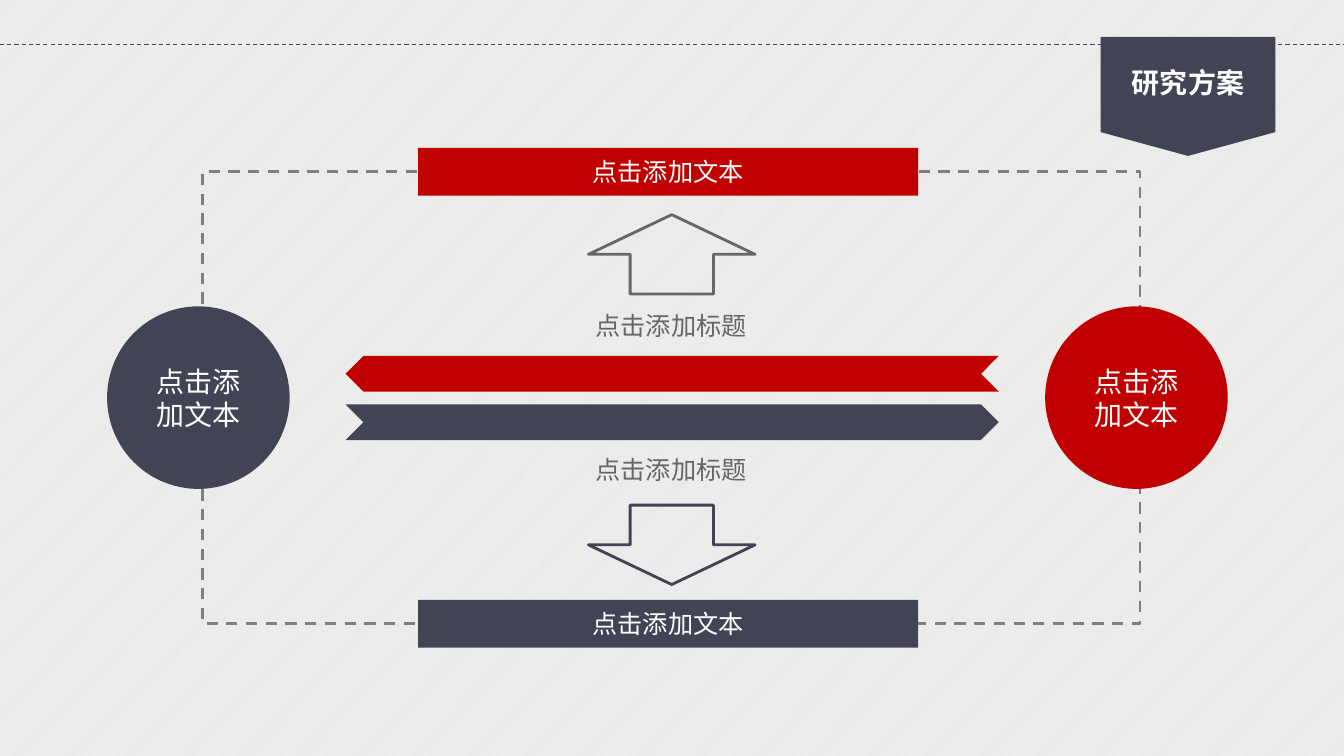
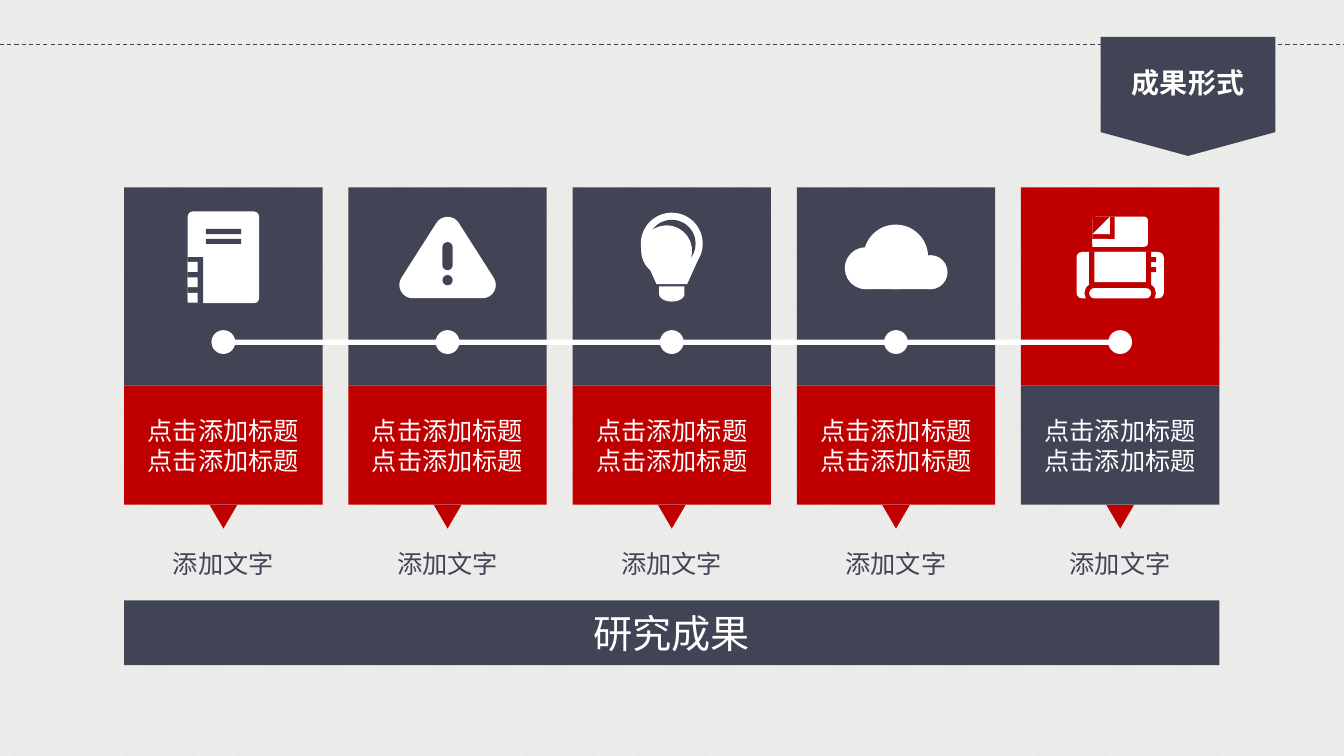
"""Build two slides: a research plan diagram and a row of result cards."""
from lxml import etree
from pptx import Presentation
from pptx.dml.color import RGBColor
from pptx.enum.dml import MSO_LINE, MSO_PATTERN
from pptx.enum.shapes import MSO_CONNECTOR, MSO_SHAPE as KIND
from pptx.enum.text import MSO_ANCHOR, MSO_AUTO_SIZE, PP_ALIGN
from pptx.oxml.ns import qn
from pptx.util import Cm, Pt

NAVY, RED, WHITE, GRAY, FRAME_GRAY = "414455", "C00000", "FFFFFF", "666666", "7F7F7F"
FONT = "Noto Sans CJK SC"
PILL = 0.5
rgb = RGBColor.from_string


def write(shape, text, size, color=WHITE, bold=False, wrap=True):
    frame = shape.text_frame
    frame.text = text
    frame.word_wrap = wrap
    frame.auto_size = MSO_AUTO_SIZE.NONE
    frame.vertical_anchor = MSO_ANCHOR.MIDDLE
    for paragraph in frame.paragraphs:
        paragraph.alignment = PP_ALIGN.CENTER
        paragraph.font.name = FONT
        paragraph.font.size = Pt(size)
        paragraph.font.bold = bold
        paragraph.font.color.rgb = rgb(color)
    for properties in shape.element.iter(qn("a:defRPr")):
        etree.SubElement(properties, qn("a:ea"), typeface=FONT)


def add_box(slide, kind, left, top, width, height, fill=None, line=None,
            line_width=2, rotation=0, adjust=None):
    shape = slide.shapes.add_shape(kind, Cm(left), Cm(top), Cm(width), Cm(height))
    shape.shadow.inherit = False
    shape.rotation = rotation
    if adjust is not None:
        shape.adjustments[0] = adjust
    if fill:
        shape.fill.solid()
        shape.fill.fore_color.rgb = rgb(fill)
    else:
        shape.fill.background()
    if line:
        shape.line.color.rgb = rgb(line)
        shape.line.width = Pt(line_width)
        etree.SubElement(shape.element.spPr.find(qn("a:ln")), qn("a:round"))
    else:
        shape.line.fill.background()
    return shape


presentation = Presentation()
presentation.slide_width, presentation.slide_height = Cm(33.87), Cm(19.05)

layout = presentation.slide_layouts[5]
for placeholder in list(layout.placeholders)[1:]:
    placeholder.element.getparent().remove(placeholder.element)
background = layout.background.fill
background.patterned()
background.pattern = MSO_PATTERN.LIGHT_UPWARD_DIAGONAL
background.fore_color.rgb = rgb(WHITE)
background.back_color.rgb = rgb("E8E8E6")
title = layout.placeholders[0]
title.left, title.top, title.width, title.height = Cm(27.74), Cm(1.52), Cm(4.4), Cm(1.12)

plan, results = [presentation.slides.add_slide(layout) for _ in range(2)]
for slide, text in ((plan, "研究方案"), (results, "成果形式")):
    write(slide.shapes.title, text, 20, bold=True, wrap=False)

rule = plan.shapes.add_connector(MSO_CONNECTOR.STRAIGHT, 0, Cm(1.12), Cm(33.87), Cm(1.12))
rule.line.color.rgb = rgb(NAVY)
rule.line.width = Pt(0.75)
rule.line.dash_style = MSO_LINE.DASH
etree.SubElement(rule.element.spPr, qn("a:effectLst"))
tag = add_box(plan, KIND.FLOWCHART_OFFPAGE_CONNECTOR, 27.74, 0.93, 4.4, 3, NAVY)
for shared in (rule, tag):
    layout.shapes.element.append(shared.element)

loop_frame = add_box(plan, KIND.RECTANGLE, 5.11, 4.32, 23.62, 11.4, line=FRAME_GRAY)
loop_frame.line.dash_style = MSO_LINE.DASH
for left, color in ((2.7, NAVY), (26.34, RED)):
    circle = add_box(plan, KIND.OVAL, left, 7.72, 4.6, 4.6, color)
    write(circle, "点击添加文本", 20)
for top in (7.7, 11.33):
    caption = plan.shapes.add_textbox(Cm(14.73), Cm(top), Cm(4.37), Cm(1.02))
    write(caption, "点击添加标题", 18, GRAY, wrap=False)
add_box(plan, KIND.UP_ARROW, 14.83, 5.41, 4.2, 2, line=GRAY)
add_box(plan, KIND.DOWN_ARROW, 14.83, 12.73, 4.2, 2, line=NAVY)
for top, color in ((15.12, NAVY), (3.73, RED)):
    bar = add_box(plan, KIND.RECTANGLE, 10.54, top, 12.6, 1.2, color)
    write(bar, "点击添加文本", 18)
for top, color, rotation in ((10.19, NAVY, 0), (8.97, RED, 180)):
    add_box(plan, KIND.CHEVRON, 8.71, top, 16.46, 0.9, color, rotation=rotation)

CARD_LEFT, CARD_STEP, CARD_WIDTH, CARD_COUNT = 3.13, 5.65, 5, 5
centers = [CARD_LEFT + CARD_STEP * i + CARD_WIDTH / 2 for i in range(CARD_COUNT)]
for center in centers:
    upper, lower = (RED, NAVY) if center == centers[-1] else (NAVY, RED)
    left = center - CARD_WIDTH / 2
    add_box(results, KIND.RECTANGLE, left, 4.72, CARD_WIDTH, 5, upper)
    heading = add_box(results, KIND.RECTANGLE, left, 9.72, CARD_WIDTH, 3, lower)
    write(heading, "点击添加标题\n点击添加标题", 18)
    add_box(results, KIND.OVAL, center - 0.3, 8.32, 0.6, 0.6, WHITE)
    add_box(results, KIND.ISOSCELES_TRIANGLE, center - 0.35, 12.72, 0.7, 0.6, RED, rotation=180)
    label = results.shapes.add_textbox(Cm(center - 1.54), Cm(13.69), Cm(3.08), Cm(1.02))
    write(label, "添加文字", 18, NAVY, wrap=False)
add_box(results, KIND.RECTANGLE, centers[0], 8.56, centers[-1] - centers[0], 0.13, WHITE)
summary_width = CARD_STEP * (CARD_COUNT - 1) + CARD_WIDTH
summary = add_box(results, KIND.RECTANGLE, CARD_LEFT, 15.13, summary_width, 1.63, NAVY)
write(summary, "研究成果", 28)

notebook, warning, bulb, cloud, printer = centers

page_left = notebook - 0.9
add_box(results, KIND.ROUNDED_RECTANGLE, page_left, 5.33, 1.8, 2.31, WHITE, adjust=0.07)
add_box(results, KIND.RECTANGLE, page_left, 6.48, 0.39, 1.17, NAVY)
for ring in range(3):
    add_box(results, KIND.RECTANGLE, page_left, 6.6 + 0.39 * ring, 0.25, 0.25, WHITE)
for text_line in range(2):
    add_box(results, KIND.RECTANGLE, page_left + 0.46, 5.77 + 0.25 * text_line, 0.89, 0.13, NAVY)

add_box(results, KIND.ISOSCELES_TRIANGLE, warning - 0.88, 5.8, 1.76, 1.38, WHITE,
        line=WHITE, line_width=19)
add_box(results, KIND.ROUNDED_RECTANGLE, warning - 0.13, 6.1, 0.26, 0.71, NAVY, adjust=PILL)
add_box(results, KIND.OVAL, warning - 0.13, 6.93, 0.26, 0.26, NAVY)

add_box(results, KIND.TRAPEZOID, bulb - 0.66, 6.55, 1.32, 0.61, WHITE, rotation=180, adjust=0.45)
for center_x, center_y, radius, color in (
    (bulb, 6.14, 0.78, WHITE),
    (bulb, 6.14, 0.6, NAVY),
    (bulb - 0.13, 6.32, 0.64, WHITE),
):
    add_box(results, KIND.OVAL, center_x - radius, center_y - radius, 2 * radius, 2 * radius, color)
add_box(results, KIND.FLOWCHART_DELAY, bulb - 0.19, 7.09, 0.38, 0.64, WHITE, rotation=90)

CLOUD_BOTTOM = 7.29
for left, diameter in ((cloud - 1.29, 1.06), (cloud - 0.82, 1.63), (cloud + 0.44, 0.86)):
    add_box(results, KIND.OVAL, left, CLOUD_BOTTOM - diameter, diameter, diameter, WHITE)
add_box(results, KIND.RECTANGLE, cloud - 0.76, CLOUD_BOTTOM - 0.5, 1.63, 0.5, WHITE)

paper_left = printer - 0.7
add_box(results, KIND.ROUNDED_RECTANGLE, paper_left, 5.46, 1.4, 0.76, WHITE, adjust=0.12)
add_box(results, KIND.RECTANGLE, paper_left, 5.46, 0.56, 0.56, RED)
add_box(results, KIND.RIGHT_TRIANGLE, paper_left, 5.46, 0.44, 0.44, WHITE, rotation=270)
add_box(results, KIND.RECTANGLE, paper_left, 6.02, 0.4, 0.2, WHITE)
add_box(results, KIND.ROUNDED_RECTANGLE, printer - 1.1, 6.35, 2.2, 1.17, WHITE, adjust=0.12)
for left, width, height, color in ((printer - 0.78, 1.56, 1.17, RED),
                                   (printer - 0.65, 1.3, 0.76, WHITE)):
    add_box(results, KIND.RECTANGLE, left, 6.35, width, height, color)
for margin, color in ((0.12, RED), (0, WHITE)):
    add_box(results, KIND.ROUNDED_RECTANGLE, printer - 0.78 - margin, 7.26 - margin,
            1.56 + 2 * margin, 0.26 + 2 * margin, color, adjust=PILL)
for button in range(2):
    add_box(results, KIND.RECTANGLE, printer + 0.78, 6.48 + 0.25 * button, 0.13, 0.13, RED)

presentation.save("out.pptx")
